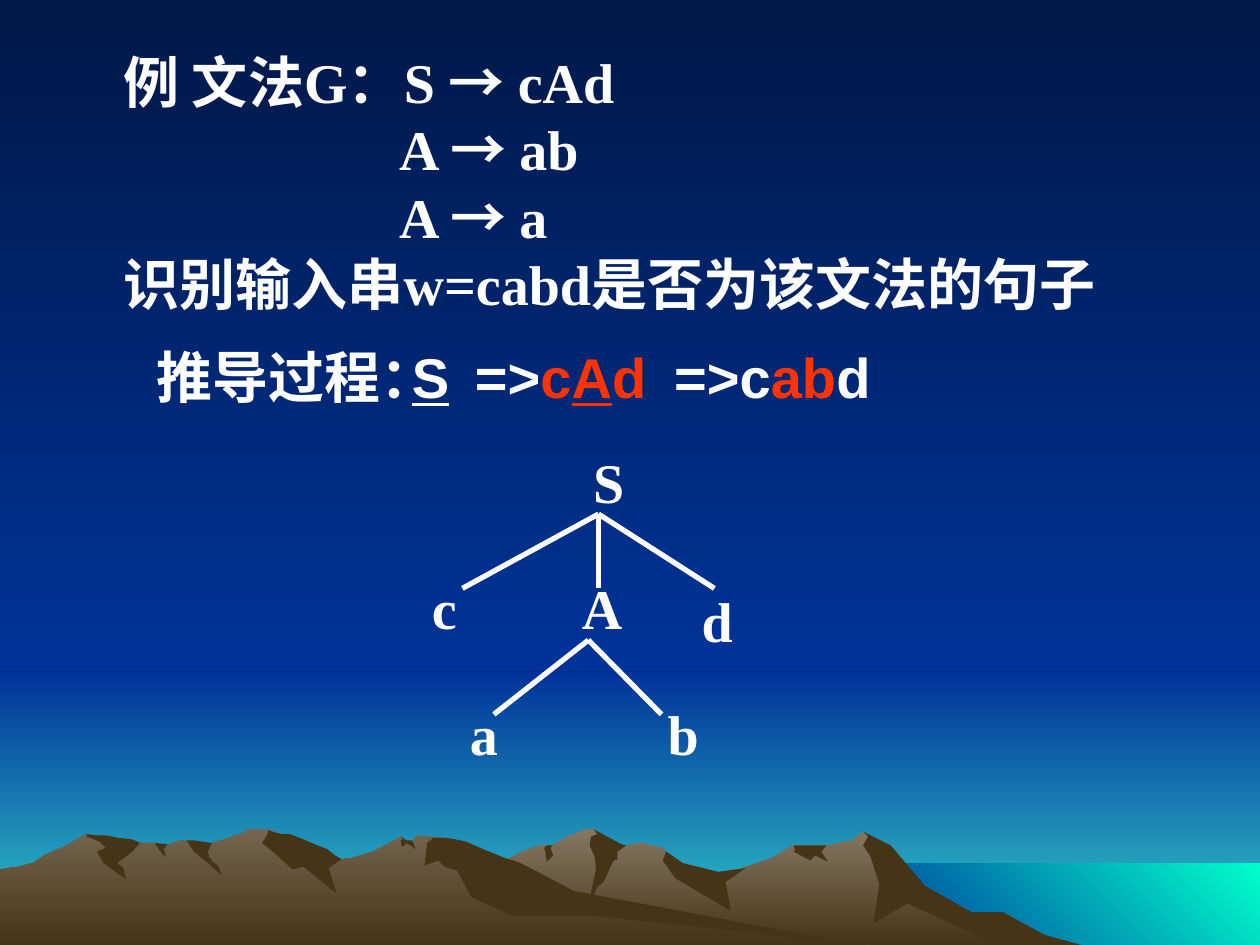
from lxml import etree
from pptx import Presentation
from pptx.dml.color import RGBColor
from pptx.enum.shapes import MSO_CONNECTOR, MSO_SHAPE
from pptx.enum.text import MSO_AUTO_SIZE, PP_ALIGN
from pptx.oxml.ns import qn
from pptx.util import Cm, Pt

RECT = MSO_SHAPE.RECTANGLE
LINE = MSO_CONNECTOR.STRAIGHT
GROW = MSO_AUTO_SIZE.SHAPE_TO_FIT_TEXT
CENTER = PP_ALIGN.CENTER
JUSTIFY = PP_ALIGN.JUSTIFY

WHITE = RGBColor(0xFF, 0xFF, 0xFF)
RED = RGBColor(0xFF, 0x33, 0x00)
NIGHT = RGBColor(0x00, 0x18, 0x47)
BLUE = RGBColor(0x00, 0x33, 0x99)
TEAL = RGBColor(0x33, 0xCC, 0xCC)
AQUA = RGBColor(0x00, 0xFF, 0xCC)
STONE = RGBColor(0x84, 0x78, 0x64)
CLAY = RGBColor(0x73, 0x65, 0x4F)
EARTH = RGBColor(0x46, 0x34, 0x16)

SERIF = "Times New Roman"
SANS = "Arial"
HAN = "Noto Sans CJK SC"

RIGHT_HILL = [
    (8.02, 7.4), (7.78, 7.27), (7.64, 7.23), (7.23, 6.98), (7.02, 6.71), (6.85, 6.6),
    (6.76, 6.67), (6.56, 6.71), (6.29, 6.71), (6.13, 6.81), (5.66, 6.97), (5.36, 6.9),
    (5.29, 6.76), (5.26, 6.73), (5.09, 6.69), (4.97, 6.71), (4.86, 6.73), (4.74, 6.61),
    (4.71, 6.58), (4.65, 6.58), (4.5, 6.64), (4.44, 6.68), (4.38, 6.71), (4.3, 6.71),
    (4.24, 6.72), (4.18, 6.75), (4.12, 6.77), (4.05, 6.81), (3.99, 6.83), (3.94, 6.85),
    (3.55, 6.98), (3.27, 7.09), (2.77, 7.39), (2.58, 7.5), (8.21, 7.5)]
LEFT_HILL = [
    (6.9, 7.5), (6.67, 7.48), (4.32, 7.12), (3.54, 6.65), (3.31, 6.63), (3.27, 6.68),
    (3.23, 6.68), (3.18, 6.64), (2.96, 6.76), (2.79, 6.81), (2.71, 6.82), (2.6, 6.76),
    (2.36, 6.81), (2.23, 6.63), (2.19, 6.6), (2.12, 6.58), (1.96, 6.58), (1.91, 6.62),
    (1.86, 6.63), (1.78, 6.66), (1.68, 6.69), (1.6, 6.71), (1.48, 6.67), (1.43, 6.67),
    (1.32, 6.71), (1.28, 6.71), (1.23, 6.69), (1.11, 6.69), (0.94, 6.71), (0.68, 6.62),
    (0.56, 6.69), (0.53, 6.71), (0.46, 6.74), (0.35, 6.79), (0.26, 6.85), (0.14, 6.88),
    (0, 6.9), (0, 7.5)]
RIGHT_SHADE = [
    [(7.96, 7.24), (7.71, 7.24), (7.34, 7.03), (7.07, 6.71), (6.85, 6.6), (6.89, 6.64),
     (6.85, 6.71), (6.91, 6.8), (6.98, 7.02), (6.93, 7.33), (7.2, 7.17), (7.92, 7.5),
     (8.58, 7.5), (8.29, 7.42)],
    [(4.71, 6.58), (4.74, 6.62), (4.69, 6.64), (4.68, 6.71), (4.72, 6.8), (4.73, 6.9),
     (4.65, 7.27), (4.74, 7.04), (4.79, 7), (4.87, 6.83), (4.9, 6.82), (4.9, 6.76),
     (4.97, 6.71), (4.93, 6.7)],
    [(5.29, 6.76), (5.28, 6.78), (5.26, 6.83), (5.36, 6.97), (5.8, 7.23), (5.76, 7),
     (5.92, 6.89), (5.7, 6.92), (5.42, 6.85)],
    [(6.5, 6.71), (6.3, 6.71), (6.31, 6.75), (6.3, 6.76), (6.43, 6.83), (6.47, 6.79),
     (6.57, 6.84), (6.52, 6.76), (6.56, 6.71)],
    [(4.33, 6.77), (4.32, 6.73), (4.34, 6.71), (4.38, 6.71), (4.39, 6.7), (4.37, 6.73),
     (4.39, 6.79), (4.34, 6.84)]]
LEFT_SHADE = [
    [(2.12, 6.63), (2.08, 6.69), (2.19, 6.78), (2.32, 6.9), (2.41, 6.88), (2.67, 7.09),
     (2.61, 6.89), (2.71, 6.82), (2.66, 6.79), (2.6, 6.74), (2.52, 6.71), (2.45, 6.68),
     (2.38, 6.65), (2.3, 6.62), (2.24, 6.62), (2.19, 6.61), (2.13, 6.59)],
    [(3.7, 6.68), (3.61, 6.66), (3.54, 6.65), (3.44, 6.65), (3.39, 6.69), (3.37, 6.87),
     (3.48, 6.83), (3.53, 6.88), (3.63, 6.91), (3.74, 7.12), (4.07, 7.27), (4.72, 7.27),
     (6.9, 7.5), (6.83, 7.5), (4.55, 7.07), (4.27, 6.92), (4.11, 6.84), (4.01, 6.81),
     (3.86, 6.75)],
    [(3.18, 6.67), (3.2, 6.66), (3.18, 6.64), (3.23, 6.67), (3.27, 6.67), (3.3, 6.74),
     (3.26, 6.71), (3.22, 6.69), (3.21, 6.71), (3.19, 6.72)],
    [(1.54, 6.67), (1.61, 6.68), (1.68, 6.69), (1.65, 6.76), (1.66, 6.8), (1.69, 6.84),
     (1.73, 6.87), (1.76, 6.95), (1.65, 6.85), (1.54, 6.76), (1.48, 6.67)],
    [(1.33, 6.7), (1.3, 6.74), (1.32, 6.8), (1.29, 6.78), (1.26, 6.74), (1.23, 6.69)],
    [(1.09, 6.68), (1.11, 6.69), (1.05, 6.76), (0.93, 6.85), (0.98, 6.89), (1, 6.98),
     (0.82, 6.85), (0.77, 6.76), (0.84, 6.73), (0.79, 6.68), (0.69, 6.64), (0.69, 6.62),
     (0.77, 6.63), (0.84, 6.63), (0.94, 6.65), (1.04, 6.66)]]

RULES = [("例 文法G：S ", "cAd", 0.38), ("A ", "ab", 2.57), ("A ", "a", 2.57)]
LABELS = [("S", 4.61, 3.5), ("c", 3.33, 4.5), ("A", 4.52, 4.5),
          ("d", 5.47, 4.61), ("a", 3.63, 5.5), ("b", 5.2, 5.5)]
FORKS = [((4.75, 4.08), [(3.67, 4.67), (4.75, 4.67), (5.67, 4.67)]),
         ((4.67, 5.08), [(3.92, 5.67), (5.25, 5.67)])]
STEPS = [
    (0.92, 2.42, SERIF, [("推导过程：", WHITE, False)]),
    (5.25, 1.76, SANS, [("=>c", WHITE, False), ("ab", RED, False), ("d", WHITE, False)]),
    (3.17, 0.49, SANS, [("S", WHITE, True)]),
    (3.67, 1.56, SANS, [("=>", WHITE, False), ("c", RED, False),
                        ("A", RED, True), ("d", RED, False)])]


def inch(*nums):
    return [Cm(n * 2.54) for n in nums]


def paint(fill, tones, angle=270):
    if len(tones) == 1:
        fill.solid()
        fill.fore_color.rgb = tones[0]
        return
    fill.gradient()
    fill.gradient_angle = angle
    for stop, tone in zip(fill.gradient_stops, tones):
        stop.color.rgb = tone


def finish(shape, tones, angle=270):
    shape.shadow.inherit = False
    shape.line.fill.background()
    paint(shape.fill, tones, angle)


def add_band(slide, box, tones, angle=270):
    finish(slide.shapes.add_shape(RECT, *inch(*box)), tones, angle)


def add_rock(slide, points, *tones):
    start, *rest = [inch(*point) for point in points]
    pen = slide.shapes.build_freeform(*start, scale=1.0)
    pen.add_line_segments(rest, close=True)
    finish(pen.convert_to_shape(), tones)


def add_run(para, text, face=SERIF, color=WHITE, under=False):
    run = para.add_run()
    run.text = text
    font = run.font
    font.name, font.size, font.bold = face, Pt(32), True
    font.color.rgb = color
    if under:
        font.underline = True
    etree.SubElement(run._r.get_or_add_rPr(), qn("a:ea")).set("typeface", HAN)


def add_box(slide, *box):
    frame = slide.shapes.add_textbox(*inch(*box)).text_frame
    frame.word_wrap = True
    return frame


def indent(para, left):
    para._p.get_or_add_pPr().set("marL", str(inch(left)[0]))


def add_rules(slide):
    frame = add_box(slide, 0.5, 0.33, 9, 2.33)
    para = frame.paragraphs[0]
    para.space_before = Pt(8)
    for head, body, left in RULES:
        indent(para, left)
        add_run(para, head)
        add_run(para, "→ ", HAN)
        add_run(para, body)
        para = frame.add_paragraph()
    indent(para, 0.38)
    add_run(para, "识别输入串w=cabd是否为该文法的句子")


def add_step(slide, left, width, face, runs):
    frame = add_box(slide, left, 2.67, width, 0.64)
    frame.word_wrap = False
    frame.auto_size = GROW
    para = frame.paragraphs[0]
    para.alignment = CENTER
    for text, color, under in runs:
        add_run(para, text, face, color, under)


def add_label(slide, text, left, top):
    para = add_box(slide, left, top, 0.89, 0.67).paragraphs[0]
    para.alignment = JUSTIFY
    add_run(para, text)


def add_branch(slide, start, end):
    line = slide.shapes.add_connector(LINE, *inch(*start, *end))
    line.line.color.rgb = WHITE
    line.line.width = Pt(3)
    etree.SubElement(line._element.spPr, qn("a:effectLst"))


def add_scene(slide):
    paint(slide.background.fill, (NIGHT, BLUE))
    add_band(slide, (0, 5.33, 10, 2.17), (BLUE, TEAL))
    add_band(slide, (0, 0, 10, 5.33), (NIGHT, BLUE))
    add_band(slide, (6.83, 6.85, 3.17, 0.65), (BLUE, AQUA), 45)
    for hill, tone, shades in ((RIGHT_HILL, STONE, RIGHT_SHADE),
                               (LEFT_HILL, CLAY, LEFT_SHADE)):
        add_rock(slide, hill, tone, EARTH)
        for shade in shades:
            add_rock(slide, shade, EARTH)


def main():
    deck = Presentation()
    deck.slide_width, deck.slide_height = inch(10, 7.5)
    slide = deck.slides.add_slide(deck.slide_layouts[6])
    add_scene(slide)
    add_rules(slide)
    for label in LABELS:
        add_label(slide, *label)
    for start, ends in FORKS:
        for end in ends:
            add_branch(slide, start, end)
    for step in STEPS:
        add_step(slide, *step)
    deck.save("out.pptx")


if __name__ == "__main__":
    main()
